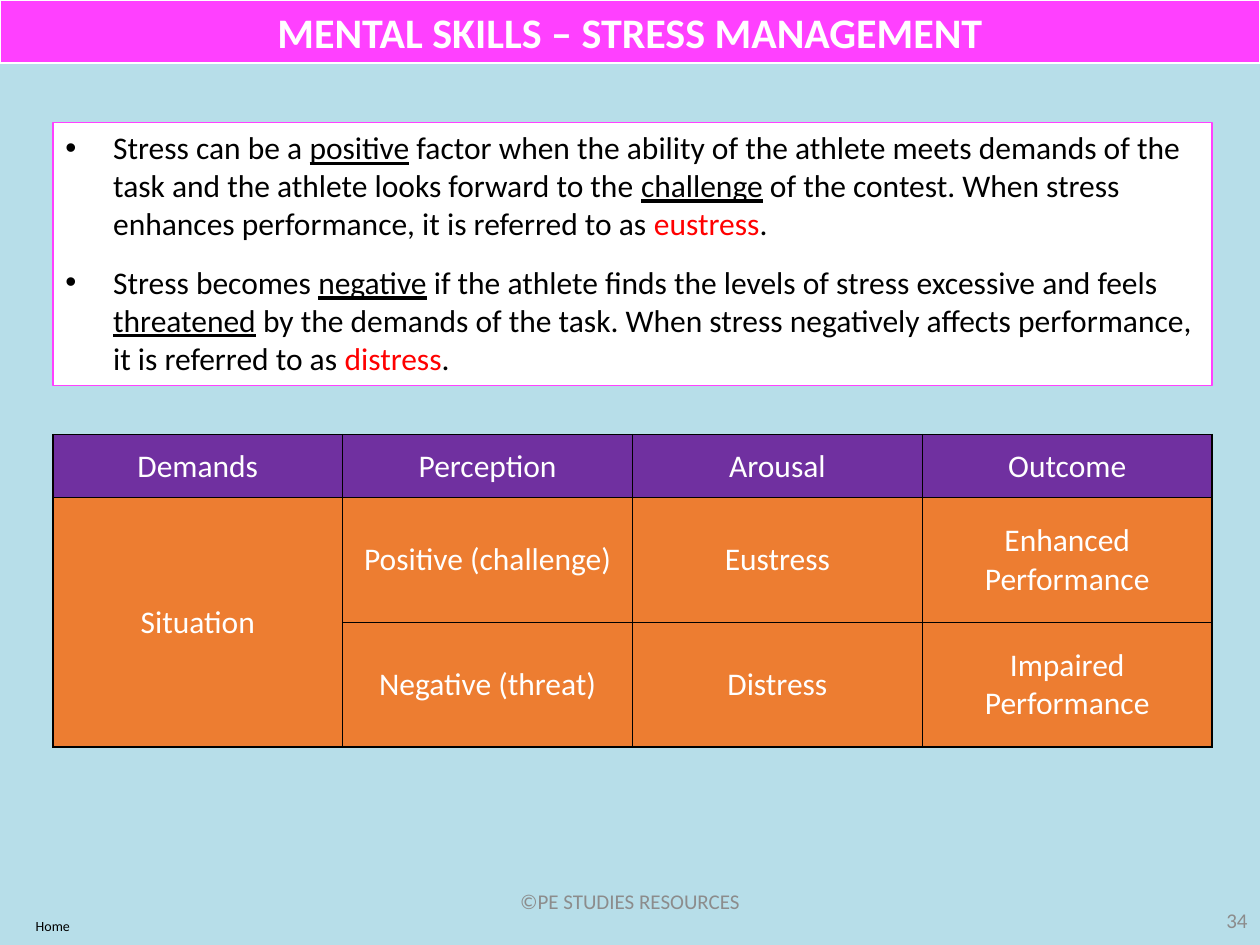
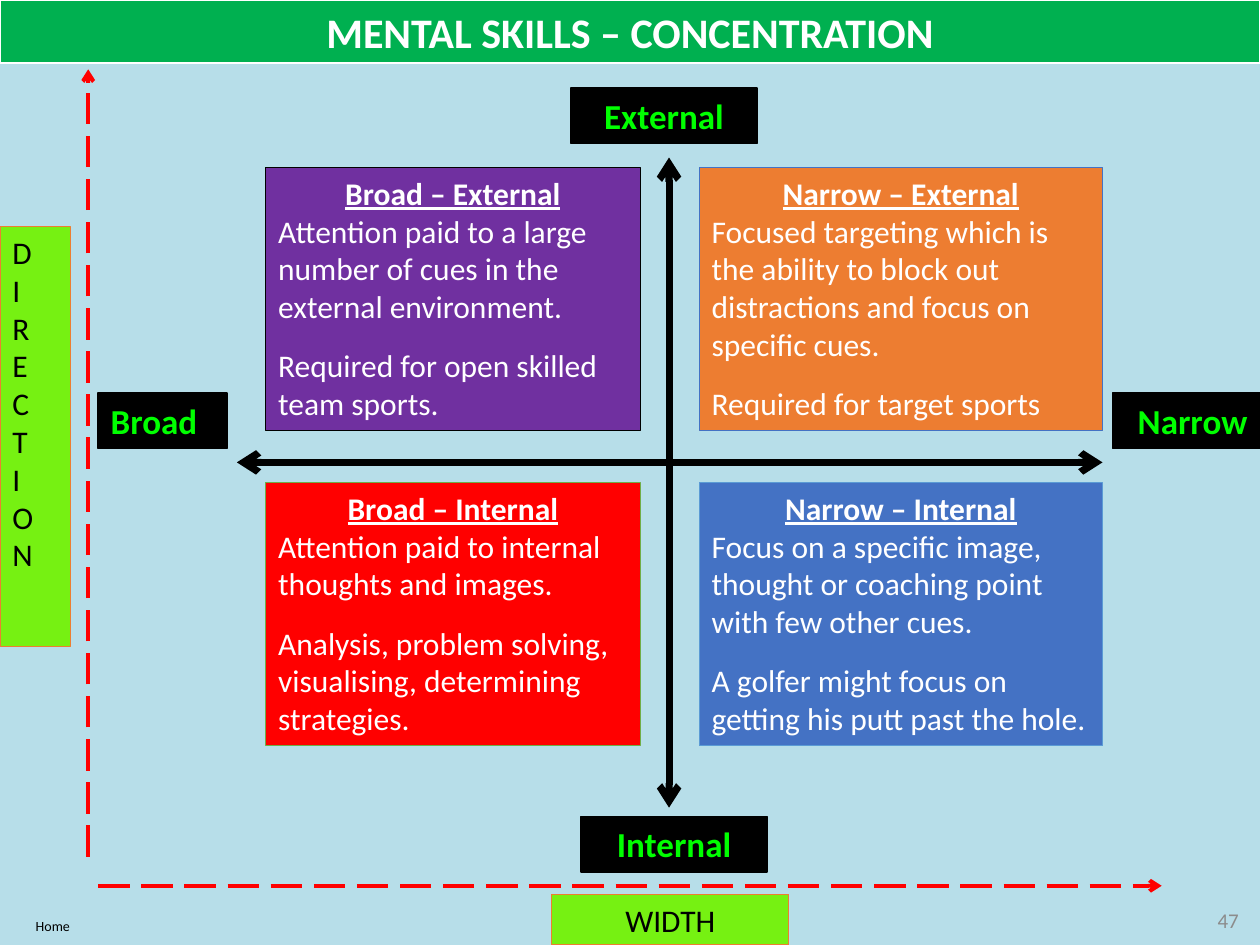
from dataclasses import dataclass

from lxml import etree
from pptx import Presentation
from pptx.dml.color import RGBColor
from pptx.enum.dml import MSO_LINE
from pptx.enum.shapes import MSO_CONNECTOR, MSO_SHAPE
from pptx.enum.text import MSO_ANCHOR, MSO_AUTO_SIZE, PP_ALIGN
from pptx.oxml.ns import qn
from pptx.util import Inches, Pt

LEFT, CENTER, RIGHT = PP_ALIGN.LEFT, PP_ALIGN.CENTER, PP_ALIGN.RIGHT
TOP, MIDDLE = MSO_ANCHOR.TOP, MSO_ANCHOR.MIDDLE
RECTANGLE, STRAIGHT = MSO_SHAPE.RECTANGLE, MSO_CONNECTOR.STRAIGHT
LONG_DASH, NO_AUTOFIT = MSO_LINE.LONG_DASH, MSO_AUTO_SIZE.NONE
TITLE_ONLY = 5

FONT = "Calibri"
SKY, WHITE, BLACK, GREY = "B7DEE9", "FFFFFF", "000000", "8C8C8C"
PINK, GREEN, RED, PURPLE = "FF40FF", "00B050", "FF0000", "7030A0"
ORANGE, BLUE, LIME, NEON = "ED7D31", "4472C4", "76F112", "00FF00"
PALE_BLUE, LEAF = "5B9BD5", "70AD47"
BODY_SIZE = 18
PARAGRAPH_GAP = 12.2


@dataclass
class Run:
    text: str
    color: str = BLACK
    size: float = BODY_SIZE
    bold: bool = False
    underline: bool = False


@dataclass
class Para:
    runs: list[Run]
    align: PP_ALIGN = LEFT
    before: float = 0
    bullet: bool = False


@dataclass
class Box:
    left: float
    top: float
    width: float
    height: float
    paras: list[Para]
    fill: str | None = None
    line: str | None = None
    line_width: float = 0.5
    anchor: MSO_ANCHOR = TOP


@dataclass
class Arrow:
    start: tuple[float, float]
    end: tuple[float, float]
    color: str
    width: float
    dashed: bool = False
    both_ends: bool = False


@dataclass
class Quadrant:
    column: int
    row: int
    heading: str
    meaning: str
    example: str
    fill: str
    line: str


@dataclass
class AxisLabel:
    text: str
    left: float
    top: float
    width: float
    align: PP_ALIGN


def rgb(color: str) -> RGBColor:
    return RGBColor.from_string(color)


def write(frame, paras: list[Para]) -> None:
    for index, para in enumerate(paras):
        target = frame.paragraphs[0] if index == 0 else frame.add_paragraph()
        if para.bullet:
            properties = target._p.get_or_add_pPr()
            properties.set("marL", str(Inches(0.38)))
            properties.set("indent", str(Inches(-0.38)))
            etree.SubElement(properties, qn("a:buFont")).set("typeface", "Arial")
            etree.SubElement(properties, qn("a:buChar")).set("char", "•")
        target.alignment = para.align
        if para.before:
            target.space_before = Pt(para.before)
        for part in para.runs:
            run = target.add_run()
            run.text = part.text
            run.font.name = FONT
            run.font.size = Pt(part.size)
            run.font.bold = part.bold
            run.font.underline = part.underline
            run.font.color.rgb = rgb(part.color)


def add_box(slide, box: Box):
    place = [Inches(v) for v in (box.left, box.top, box.width, box.height)]
    if box.fill:
        shape = slide.shapes.add_shape(RECTANGLE, *place)
        shape.shadow.inherit = False
        shape.fill.solid()
        shape.fill.fore_color.rgb = rgb(box.fill)
        shape.line.color.rgb = rgb(box.line or box.fill)
        shape.line.width = Pt(box.line_width)
    else:
        shape = slide.shapes.add_textbox(*place)
    shape.text_frame.word_wrap = True
    shape.text_frame.vertical_anchor = box.anchor
    write(shape.text_frame, box.paras)
    return shape


def add_arrow(slide, arrow: Arrow) -> None:
    points = [Inches(v) for v in (*arrow.start, *arrow.end)]
    connector = slide.shapes.add_connector(STRAIGHT, *points)
    connector.line.color.rgb = rgb(arrow.color)
    connector.line.width = Pt(arrow.width)
    if arrow.dashed:
        connector.line.dash_style = LONG_DASH
    line = connector.line._get_or_add_ln()
    for end in ("a:headEnd", "a:tailEnd") if arrow.both_ends else ("a:tailEnd",):
        etree.SubElement(line, qn(end)).set("type", "arrow")
    etree.SubElement(connector._element.spPr, qn("a:effectLst"))


def outline_cell(cell, color: str, width: float) -> None:
    properties = cell._tc.get_or_add_tcPr()
    for position, side in enumerate(("a:lnL", "a:lnR", "a:lnT", "a:lnB")):
        border = etree.Element(qn(side), w=str(Pt(width)))
        fill = etree.SubElement(border, qn("a:solidFill"))
        etree.SubElement(fill, qn("a:srgbClr")).set("val", color)
        properties.insert(position, border)


def start_slide(deck, title: str, band: str, number: str, number_left: float):
    """Background, title band, page number and home label."""
    slide = deck.slides.add_slide(deck.slide_layouts[TITLE_ONLY])
    slide.background.fill.solid()
    slide.background.fill.fore_color.rgb = rgb(SKY)

    heading = slide.shapes.title
    heading.left, heading.top = Inches(0), Inches(0)
    heading.width, heading.height = Inches(10), Inches(0.5)
    heading.fill.solid()
    heading.fill.fore_color.rgb = rgb(band)
    heading.line.color.rgb = rgb(WHITE)
    heading.line.width = Pt(0.75)
    frame = heading.text_frame
    frame.auto_size = NO_AUTOFIT
    frame.word_wrap = True
    frame.vertical_anchor = TOP
    write(frame, [Para([Run(title, WHITE, 24, bold=True)], CENTER)])

    add_box(slide, Box(number_left, 7.1, 2.25, 0.4,
                       [Para([Run(number, GREY, 12)], RIGHT)], anchor=MIDDLE))
    add_box(slide, Box(0, 7.23, 0.84, 0.24, [Para([Run("Home", size=8)], CENTER)]))
    return slide


def add_outcome_table(slide) -> None:
    rows = [
        ["Demands", "Perception", "Arousal", "Outcome"],
        ["Situation", "Positive (challenge)", "Eustress", "Enhanced Performance"],
        ["", "Negative (threat)", "Distress", "Impaired Performance"],
    ]
    heights = [0.5, 0.99, 0.99]
    table = slide.shapes.add_table(len(rows), len(rows[0]), Inches(0.42), Inches(3.45),
                                   Inches(9.2), Inches(sum(heights))).table
    table.first_row = table.horz_banding = False
    for column in table.columns:
        column.width = Inches(2.3)
    for r, texts in enumerate(rows):
        table.rows[r].height = Inches(heights[r])
        for c, text in enumerate(texts):
            cell = table.cell(r, c)
            cell.fill.solid()
            cell.fill.fore_color.rgb = rgb(ORANGE if r else PURPLE)
            cell.vertical_anchor = MIDDLE
            cell.margin_left = cell.margin_right = Inches(0.07)
            cell.margin_top = cell.margin_bottom = Inches(0)
            outline_cell(cell, BLACK, 1)
            if text:
                write(cell.text_frame, [Para([Run(text, WHITE)], CENTER)])
    table.cell(1, 0).merge(table.cell(2, 0))


def build_stress(deck) -> None:
    slide = start_slide(deck, "MENTAL SKILLS – STRESS MANAGEMENT", PINK, "34", 7.75)

    # Positive and negative stress
    positive = [
        Run("Stress can be a "), Run("positive", underline=True),
        Run(" factor when the ability of the athlete meets demands of the task and "
            "the athlete looks forward to the "),
        Run("challenge", underline=True),
        Run(" of the contest. When stress enhances performance, it is referred to as "),
        Run("eustress", RED), Run("."),
    ]
    negative = [
        Run("Stress becomes "), Run("negative", underline=True),
        Run(" if the athlete finds the levels of stress excessive and feels "),
        Run("threatened", underline=True),
        Run(" by the demands of the task. When stress negatively affects performance, "
            "it is referred to as "),
        Run("distress", RED), Run("."),
    ]
    add_box(slide, Box(0.42, 0.97, 9.2, 2.09,
                       [Para(positive, bullet=True),
                        Para(negative, before=PARAGRAPH_GAP, bullet=True)],
                       WHITE, PINK, 0.75))
    add_outcome_table(slide)

    # Footer
    add_box(slide, Box(3.31, 6.95, 3.38, 0.4,
                       [Para([Run("©PE STUDIES RESOURCES", GREY, 12)], CENTER)],
                       anchor=MIDDLE))


def build_concentration(deck) -> None:
    slide = start_slide(deck, "MENTAL SKILLS – CONCENTRATION", GREEN, "47", 7.68)

    # Outer dimensions
    add_arrow(slide, Arrow((0.7, 6.8), (0.7, 0.55), RED, 2.25, dashed=True))
    add_arrow(slide, Arrow((0.78, 7.03), (9.22, 7.03), RED, 2.25, dashed=True))
    direction = add_box(slide, Box(0, 1.8, 0.56, 3.33, [Para([Run("DIRECTION")])],
                                   LIME, ORANGE, anchor=MIDDLE))
    direction.text_frame.word_wrap = False
    direction.text_frame._txBody.bodyPr.set("vert", "wordArtVert")
    add_box(slide, Box(4.38, 7.1, 1.88, 0.4, [Para([Run("WIDTH")], CENTER)], LIME, ORANGE))

    # Four kinds of attention
    columns = [(2.11, 2.97), (5.55, 3.2)]
    quadrants = [
        Quadrant(0, 0, "Broad – External",
                 "Attention paid to a large number of cues in the external environment.",
                 "Required for open skilled team sports.", PURPLE, BLACK),
        Quadrant(1, 0, "Narrow – External",
                 "Focused targeting which is the ability to block out distractions and "
                 "focus on specific cues.",
                 "Required for target sports", ORANGE, BLUE),
        Quadrant(0, 1, "Broad – Internal",
                 "Attention paid to internal thoughts and images.",
                 "Analysis, problem solving, visualising, determining strategies.",
                 RED, LEAF),
        Quadrant(1, 1, "Narrow – Internal",
                 "Focus on a specific image, thought or coaching point with few other cues.",
                 "A golfer might focus on getting his putt past the hole.",
                 BLUE, PALE_BLUE),
    ]
    for quadrant in quadrants:
        left, width = columns[quadrant.column]
        paras = [
            Para([Run(quadrant.heading, WHITE, bold=True, underline=True)], CENTER),
            Para([Run(quadrant.meaning, WHITE)]),
            Para([Run(quadrant.example, WHITE)], before=PARAGRAPH_GAP),
        ]
        add_box(slide, Box(left, 1.33 + 2.5 * quadrant.row, width, 2.09, paras,
                           quadrant.fill, quadrant.line))

    # Central axes and their labels
    add_arrow(slide, Arrow((5.31, 1.25), (5.31, 6.41), BLACK, 4, both_ends=True))
    add_arrow(slide, Arrow((1.88, 3.67), (8.75, 3.67), BLACK, 4, both_ends=True))
    labels = [
        AxisLabel("Internal", 4.61, 6.48, 1.48, CENTER),
        AxisLabel("Narrow", 8.83, 3.12, 1.17, RIGHT),
        AxisLabel("External", 4.53, 0.7, 1.48, CENTER),
        AxisLabel("Broad", 0.78, 3.12, 1.02, LEFT),
    ]
    for label in labels:
        text = Para([Run(label.text, NEON, 20, bold=True)], label.align)
        add_box(slide, Box(label.left, label.top, label.width, 0.44, [text],
                           BLACK, BLACK, 1))


def main() -> None:
    deck = Presentation()
    deck.slide_width, deck.slide_height = Inches(10), Inches(7.5)
    build_stress(deck)
    build_concentration(deck)
    deck.save("out.pptx")


if __name__ == "__main__":
    main()
